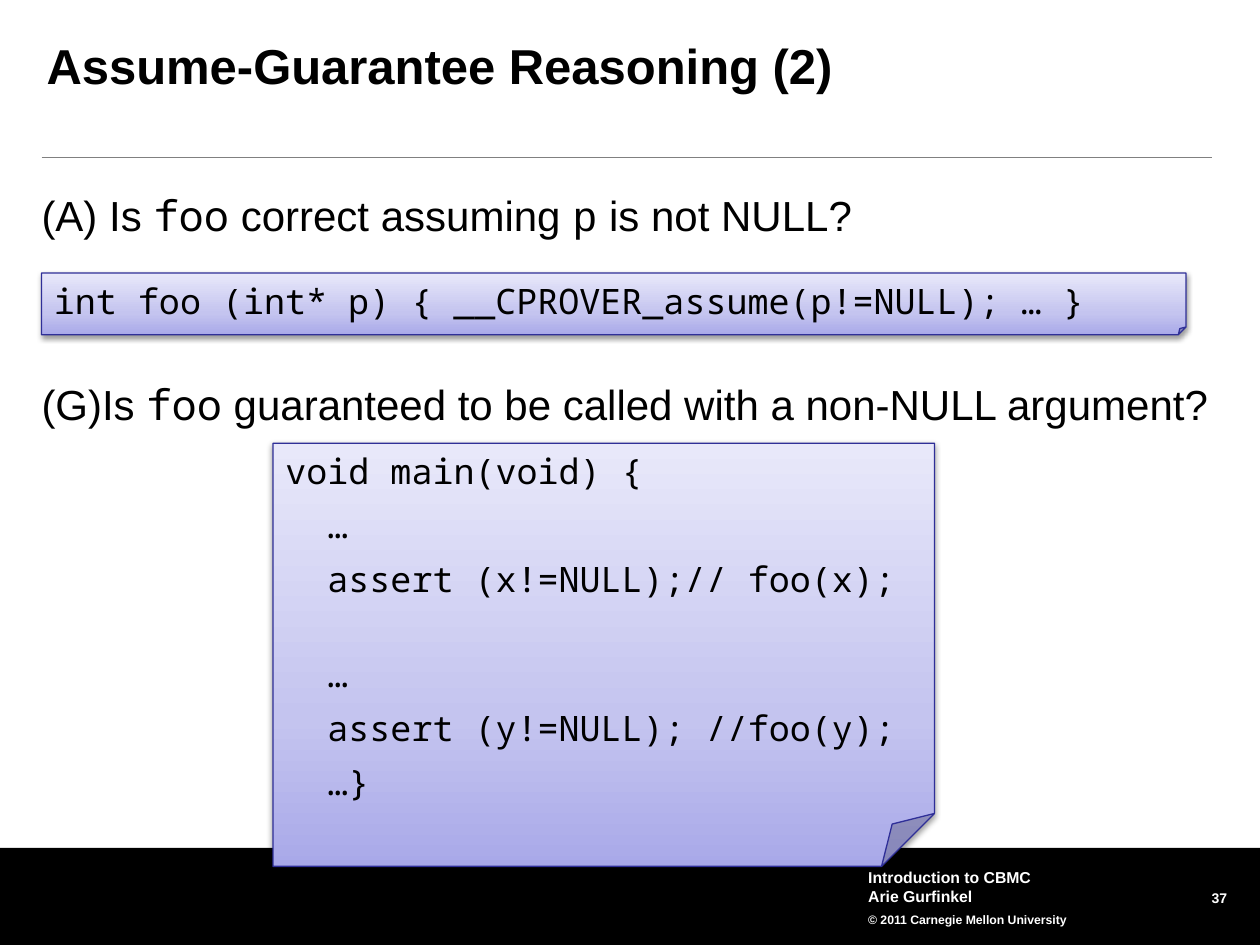
from dataclasses import dataclass

from pptx import Presentation
from pptx.dml.color import RGBColor
from pptx.enum.shapes import MSO_CONNECTOR as Connector, MSO_SHAPE as Shape
from pptx.enum.text import MSO_ANCHOR as Anchor, PP_ALIGN as Align
from pptx.oxml import parse_xml
from pptx.oxml.ns import nsdecls, qn
from pptx.util import Pt

SANS = "Arial"
MONO = "Noto Sans Mono"
CODE_GAP = 6.8
BLANK_LINE = 23.6


@dataclass
class Area:
    left: float
    top: float
    width: float
    height: float

    def lengths(self) -> list:
        return [Pt(value) for value in (self.left, self.top, self.width, self.height)]


@dataclass
class Span:
    text: str
    font: str = SANS


@dataclass
class Line:
    spans: list[Span]
    size: float
    color: str = "000000"
    bold: bool = False
    spacing: object = None
    before: float = 0
    align: object = Align.LEFT


@dataclass
class CodeNote:
    area: Area
    lines: list[tuple[str, float]]


def rgb(value: str) -> RGBColor:
    return RGBColor.from_string(value)


def write(box, lines: list[Line], margins=(0, 0, 0, 0), anchor=Anchor.TOP) -> None:
    frame = box.text_frame
    frame.word_wrap = True
    frame.vertical_anchor = anchor
    frame.margin_left, frame.margin_top, frame.margin_right, frame.margin_bottom = map(Pt, margins)
    for index, line in enumerate(lines):
        para = frame.add_paragraph() if index else frame.paragraphs[0]
        para.alignment = line.align
        para.space_before = Pt(line.before)
        if line.spacing:
            para.line_spacing = line.spacing
        for part in line.spans:
            span = para.add_run()
            span.text = part.text
            span.font.name = part.font
            span.font.size = Pt(line.size)
            span.font.bold = line.bold
            span.font.color.rgb = rgb(line.color)


def add_text(page, area: Area, lines: list[Line], **layout) -> None:
    write(page.shapes.add_textbox(*area.lengths()), lines, **layout)


def add_footer_band(page, area: Area) -> None:
    band = page.shapes.add_shape(Shape.RECTANGLE, *area.lengths())
    band.shadow.inherit = False
    band.fill.solid()
    band.fill.fore_color.rgb = rgb("000000")
    band.line.fill.background()


def add_rule(page, left: float, right: float, top: float) -> None:
    rule = page.shapes.add_connector(Connector.STRAIGHT, Pt(left), Pt(top), Pt(right), Pt(top))
    rule.line.color.rgb = rgb("808080")
    rule.line.width = Pt(0.5)
    rule._element.spPr.append(parse_xml(f"<a:effectLst {nsdecls('a')}/>"))


def add_code_note(page, note: CodeNote) -> None:
    box = page.shapes.add_shape(Shape.FOLDED_CORNER, *note.area.lengths())
    properties = box._element.spPr
    guides = properties.find(qn("a:prstGeom")).find(qn("a:avLst"))
    guides.append(parse_xml(f'<a:gd {nsdecls("a")} name="adj" fmla="val 12500"/>'))
    box.fill.gradient()
    box.fill.gradient_angle = 90
    box.line.color.rgb = rgb("2F2F98")
    box.line.width = Pt(0.75)
    stops = properties.find(qn("a:gradFill")).find(qn("a:gsLst"))
    for stop in list(stops):
        stops.remove(stop)
    for percent, color in ((0, "A9A9E9"), (35, "C4C4EF"), (100, "E8E8FA")):
        stops.append(parse_xml(
            f'<a:gs {nsdecls("a")} pos="{percent * 1000}"><a:srgbClr val="{color}"/></a:gs>'))
    properties.append(parse_xml(
        f'<a:effectLst {nsdecls("a")}><a:outerShdw blurRad="{Pt(3.1)}" dist="{Pt(1.6)}" '
        'dir="5400000" rotWithShape="0"><a:srgbClr val="000000"><a:alpha val="38000"/>'
        '</a:srgbClr></a:outerShdw></a:effectLst>'))
    lines = [Line([Span(text, MONO)], 20, before=gap) for text, gap in note.lines]
    write(box, lines, margins=(7.2, 3.6, 7.2, 3.6))


def main() -> None:
    deck = Presentation()
    deck.slide_width, deck.slide_height = Pt(720), Pt(540)
    page = deck.slides.add_slide(deck.slide_layouts[6])

    add_footer_band(page, Area(0, 484.5, 720, 55.5))
    add_text(page, Area(642.2, 504.7, 66.2, 29.5),
             [Line([Span("37")], 8, "FFFFFF", True, Pt(13), align=Align.RIGHT)],
             margins=(0, 0, 7.2, 3.6))
    add_rule(page, 23.75, 692.6, 90)
    footer = [("Introduction to CBMC", 9, None), ("Arie Gurfinkel", 9, None),
              ("© 2011 Carnegie Mellon University", 7, 1.5)]
    add_text(page, Area(492.5, 491.8, 185.8, 41.8),
             [Line([Span(text)], size, "FFFFFF", True, spacing) for text, size, spacing in footer],
             margins=(3.6, 3.6, 3.6, 3.6), anchor=Anchor.MIDDLE)

    add_text(page, Area(26.6, 23.8, 632.2, 43.9),
             [Line([Span("Assume-Guarantee Reasoning (2)")], 28, bold=True, spacing=0.9)])
    add_text(page, Area(23.75, 108, 493.9, 30.2),
             [Line([Span("(A) Is "), Span("foo", MONO), Span(" correct assuming "),
                    Span("p", "Courier New"), Span(" is not NULL?")], 24)])
    add_code_note(page, CodeNote(Area(23.75, 156, 654, 35.3), [
        ("int foo (int* p) { __CPROVER_assume(p!=NULL); … }", 0)]))
    add_text(page, Area(23.75, 216, 696.25, 30.2),
             [Line([Span("(G)Is "), Span("foo", MONO),
                    Span(" guaranteed to be called with a non-NULL argument?")], 24)])
    add_code_note(page, CodeNote(Area(156, 253.3, 378, 241.8), [
        ("void main(void) {", 0),
        ("  …", CODE_GAP),
        ("  assert (x!=NULL);// foo(x);", CODE_GAP),
        ("  …", CODE_GAP + BLANK_LINE),
        ("  assert (y!=NULL); //foo(y);", CODE_GAP),
        ("  …}", CODE_GAP)]))

    deck.save("out.pptx")


if __name__ == "__main__":
    main()
